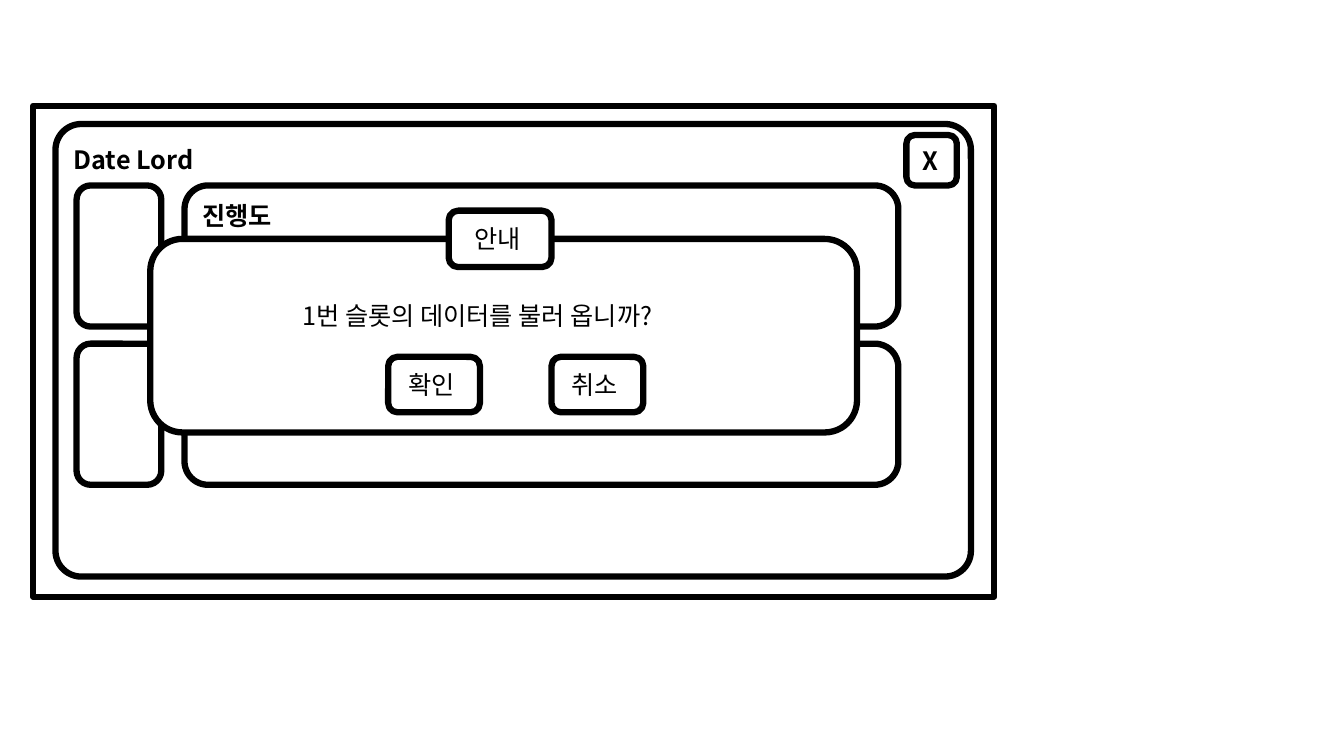
import dataclasses

import lxml.etree
import pptx
import pptx.dml.color
import pptx.enum.shapes
import pptx.enum.text
import pptx.oxml.ns
import pptx.util

Inches = pptx.util.Inches


@dataclasses.dataclass(frozen=True)
class Theme:
    ink: pptx.dml.color.RGBColor = pptx.dml.color.RGBColor(0, 0, 0)
    paper: pptx.dml.color.RGBColor = pptx.dml.color.RGBColor(255, 255, 255)
    font: str = "Noto Sans CJK KR"
    text_size: pptx.util.Length = pptx.util.Pt(18)
    border: pptx.util.Length = pptx.util.Pt(4.5)


THEME = Theme()
RECT = pptx.enum.shapes.MSO_SHAPE.RECTANGLE
ROUNDED = pptx.enum.shapes.MSO_SHAPE.ROUNDED_RECTANGLE
LABEL_HEIGHT = 0.4


def apply_format(target, values):
    for name, value in values.items():
        setattr(target, name, value)


def add_panel(shapes, box, outline=ROUNDED):
    panel = shapes.add_shape(outline, *map(Inches, box))
    panel.shadow.inherit = False
    panel.fill.solid()
    panel.fill.fore_color.rgb = THEME.paper
    panel.line.color.rgb = THEME.ink
    panel.line.width = THEME.border
    return panel


def write_label(label, text, bold):
    """Put one unwrapped line into a text box or the title placeholder."""
    frame = label.text_frame
    apply_format(frame, {
        "word_wrap": False,
        "auto_size": pptx.enum.text.MSO_AUTO_SIZE.SHAPE_TO_FIT_TEXT,
        "vertical_anchor": pptx.enum.text.MSO_ANCHOR.TOP,
    })
    paragraph = frame.paragraphs[0]
    paragraph.alignment = pptx.enum.text.PP_ALIGN.LEFT
    run = paragraph.add_run()
    run.text = text
    apply_format(run.font, {
        "name": THEME.font, "size": THEME.text_size, "bold": bold,
    })
    run.font.color.rgb = THEME.ink
    east_asian = lxml.etree.SubElement(
        run.font.color._xFill.getparent(), pptx.oxml.ns.qn("a:ea"))
    east_asian.set("typeface", THEME.font)


def add_label(shapes, left, top, width, text, bold=False):
    label = shapes.add_textbox(*map(Inches, (left, top, width, LABEL_HEIGHT)))
    write_label(label, text, bold)


def add_button(shapes, box, text, label_width, bold=False):
    """Group a panel with a label centred on it."""
    left, top, width, height = box
    button = shapes.add_group_shape().shapes
    add_panel(button, box)
    add_label(button, left + (width - label_width) / 2,
              top + (height - LABEL_HEIGHT) / 2, label_width, text, bold)


def add_load_window(slide, box):
    left, top, width, height = box
    window = add_panel(slide.shapes, box)
    window.adjustments[0] = 0.057

    heading = slide.shapes.title
    apply_format(heading, {
        "left": Inches(left + 0.08), "top": Inches(top + 0.15),
        "width": Inches(1.39), "height": Inches(LABEL_HEIGHT),
    })
    write_label(heading, "Date Lord", bold=True)
    window.element.addnext(heading.element)

    slot_height, slot_pitch = 1.4, 1.57
    for slot in range(2):
        slot_top = top + 0.61 + slot * slot_pitch
        for offset, slot_width in ((0.21, 0.84), (1.28, 7.08)):
            add_panel(slide.shapes,
                      (left + offset, slot_top, slot_width, slot_height))
    add_label(slide.shapes, left + 1.36, top + 0.71, 0.96, "진행도", bold=True)
    add_button(slide.shapes, (left + width - 0.64, top + 0.11, 0.5, 0.5),
               "X", 0.37, bold=True)


def add_confirm_dialog(slide, box):
    left, top, width, height = box
    add_panel(slide.shapes, box)
    add_button(slide.shapes, (left + 2.96, top - 0.28, 1.02, 0.56), "안내", 0.71)
    add_label(slide.shapes, left + 1.41, top + 0.56, 4.18,
              "1번 슬롯의 데이터를 불러 옵니까?")
    for index, answer in enumerate(("확인", "취소")):
        add_button(slide.shapes,
                   (left + 2.36 + index * 1.62, top + 1.17, 0.91, 0.55),
                   answer, 0.71)


def main():
    deck = pptx.Presentation()
    apply_format(deck, {"slide_width": Inches(13.33), "slide_height": Inches(7.5)})
    slide = deck.slides.add_slide(deck.slide_layouts.get_by_name("Title Only"))
    add_panel(slide.shapes, (0.33, 1.05, 9.53, 4.87), RECT)
    add_load_window(slide, (0.55, 1.23, 9.08, 4.49))
    add_confirm_dialog(slide, (1.49, 2.37, 7.01, 1.92))
    deck.save("out.pptx")


if __name__ == "__main__":
    main()
